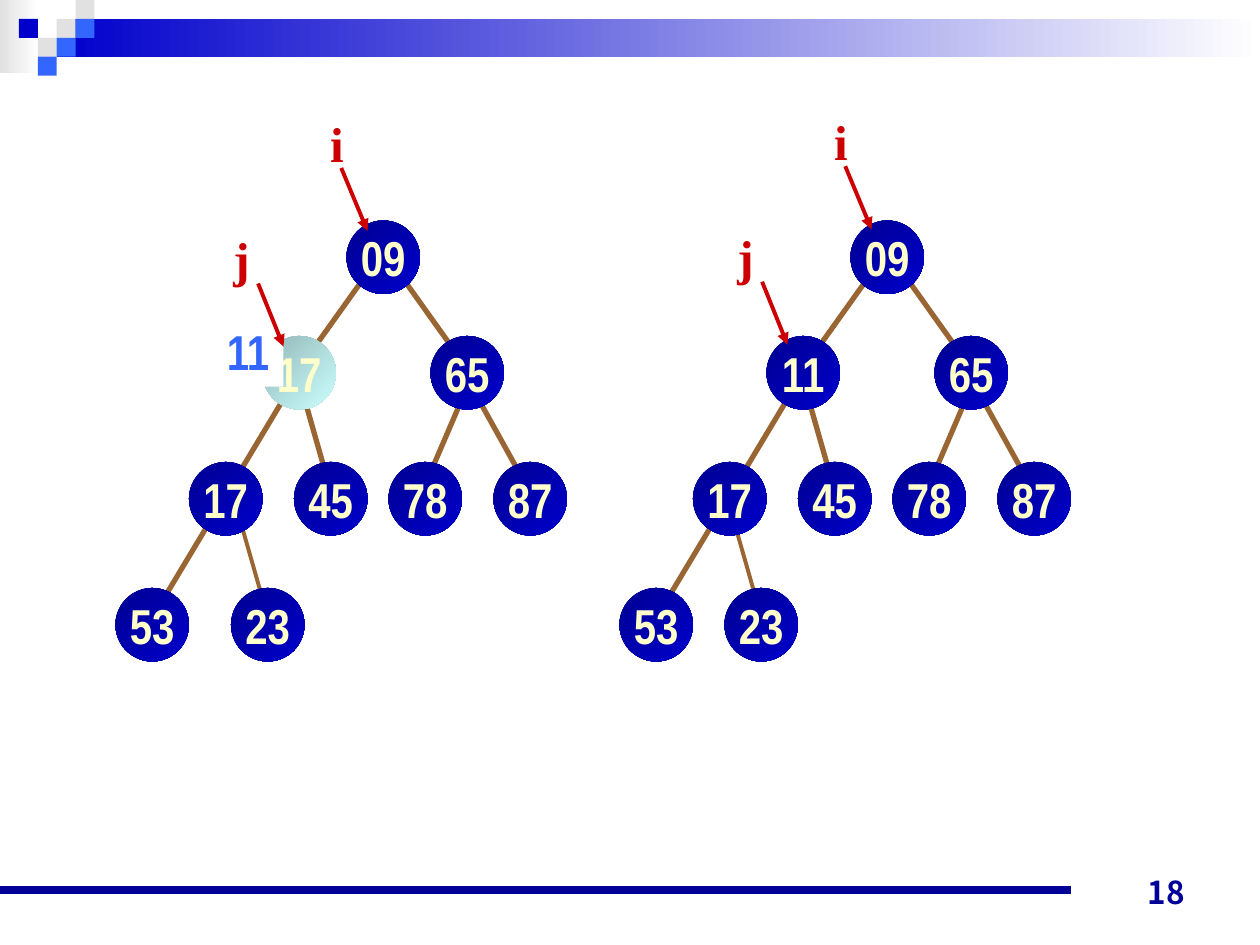
from lxml import etree
from pptx import Presentation
from pptx import util as u
from pptx.dml.color import RGBColor
from pptx.enum import shapes, text
from pptx.oxml.ns import qn

THEME = {
    "navy": "000099", "blue": "0000CC", "sky": "3366FF", "grey": "E1E1E1",
    "white": "FFFFFF", "edge": "996633", "pointer": "CC0000", "label": "FFFFCC",
    "node": ("000092", "0000CC"), "changed": ("92B6B6", "CCFFFF"),
    "node_font": "Arial Narrow", "pointer_font": "Times New Roman",
    "page_font": "Noto Sans CJK JP", "node_size": 28, "page_size": 18,
}

BANDS = [((0, 0, 22, 42), ("grey", "white")), ((32.4, 10.8, 687.6, 21.6), ("blue", "white"))]
SQUARE = 10.8
SQUARES = [(3, 1, "grey"), (4, 0, "grey"), (4, 1, "sky"), (2, 2, "grey"),
           (1, 1, "blue"), (3, 2, "sky"), (2, 3, "sky")]
PAGE = "18"

DIAMETER = 42
NODES = [(198, 126), (150, 192), (246, 192), (108, 264), (168, 264),
         (222, 264), (282, 264), (66, 336), (132, 336)]
EDGES = [(270, 222, 300, 276), (264, 228, 246, 270), (228, 156, 258, 198),
         (174, 228, 186, 270), (210, 156, 180, 198), (162, 228, 90, 348)]
LAST_EDGE = (138, 300, 150, 342)
POINTERS = [("i", (181.5, 61, 22, 41), (195, 96, 210, 132)),
            ("j", (126, 127, 24, 41), (147.5, 162, 162, 198))]
TREES = [
    {"dx": 0, "pointer_dy": 0, "last_dx": 0, "changed": 1,
     "keys": ["09", "17", "65", "17", "45", "78", "87", "53", "23"],
     "incoming": ("11", (121.5, 180, 40.5, 41))},
    {"dx": 288, "pointer_dy": -1, "last_dx": -6, "changed": None,
     "keys": ["09", "11", "65", "17", "45", "78", "87", "53", "23"],
     "incoming": None},
]


def rgb(name):
    return RGBColor.from_string(THEME.get(name, name))


def shift(box, dx, dy=0):
    return (box[0] + dx, box[1] + dy, *box[2:])


def write(sp, words, font, size, color, align=text.PP_ALIGN.CENTER,
          anchor=text.MSO_ANCHOR.MIDDLE, wrap=False):
    tf = sp.text_frame
    for name, value in {"word_wrap": wrap, "vertical_anchor": anchor}.items():
        setattr(tf, name, value)
    p = tf.paragraphs[0]
    p.alignment = align
    r = p.add_run()
    r.text = words
    for name, value in {"name": THEME[font], "size": u.Pt(THEME[size]), "bold": True}.items():
        setattr(r.font, name, value)
    r.font.color.rgb = rgb(color)


def add_shape(s, kind, box, fill, angle=0):
    sp = s.shapes.add_shape(kind, *map(u.Pt, box))
    sp.shadow.inherit = False
    sp.line.fill.background()
    if isinstance(fill, str):
        sp.fill.solid()
        sp.fill.fore_color.rgb = rgb(fill)
    else:
        sp.fill.gradient()
        sp.fill.gradient_angle = angle
        for stop, color in zip(sp.fill.gradient_stops, fill):
            stop.color.rgb = rgb(color)
    return sp


def add_text(s, box, *args, **formats):
    write(s.shapes.add_textbox(*map(u.Pt, box)), *args, **formats)


def add_line(s, ends, color, width, arrow=False):
    line = s.shapes.add_connector(shapes.MSO_CONNECTOR.STRAIGHT, *map(u.Pt, ends))
    line.line.color.rgb = rgb(color)
    line.line.width = u.Pt(width)
    if arrow:
        etree.SubElement(line.line._get_or_add_ln(), qn("a:tailEnd"), type="triangle")
    etree.SubElement(line._element.spPr, qn("a:effectLst"))


def add_frame(s):
    rect = shapes.MSO_SHAPE.RECTANGLE
    for box, fill in BANDS:
        add_shape(s, rect, box, fill)
    for col, row, fill in SQUARES:
        add_shape(s, rect, (col * SQUARE, row * SQUARE, SQUARE, SQUARE), fill)
    add_line(s, (0, 508.5, 612, 508.5), "navy", 4.5)
    add_text(s, (516, 488, 168, 36), PAGE, "page_font", "page_size", "navy",
             align=text.PP_ALIGN.RIGHT, anchor=text.MSO_ANCHOR.BOTTOM, wrap=True)


def add_tree(s, tree):
    dx, last_dx, dy = tree["dx"], tree["last_dx"], tree["pointer_dy"]
    edges = [(edge, dx, 3) for edge in EDGES] + [(LAST_EDGE, dx + last_dx, 2.25)]
    for (x1, y1, x2, y2), move, width in edges:
        add_line(s, (x1 + move, y1, x2 + move, y2), "edge", width)
    for n, ((x, y), key) in enumerate(zip(NODES, tree["keys"])):
        left = x + dx + (last_dx if n == len(NODES) - 1 else 0)
        fill = THEME["changed" if n == tree["changed"] else "node"]
        sp = add_shape(s, shapes.MSO_SHAPE.OVAL, (left, y, DIAMETER, DIAMETER), fill, 315)
        write(sp, key, "node_font", "node_size", "label")
    if tree["incoming"]:
        key, box = tree["incoming"]
        sp = add_shape(s, shapes.MSO_SHAPE.RECTANGLE, shift(box, dx), "white")
        write(sp, key, "node_font", "node_size", "sky")
    for name, box, (x1, y1, x2, y2) in POINTERS:
        add_text(s, shift(box, dx, dy), name, "pointer_font", "node_size", "pointer")
        add_line(s, (x1 + dx, y1 + dy, x2 + dx, y2 + dy), "pointer", 2.25, arrow=True)


def main():
    prs = Presentation()
    prs.slide_width, prs.slide_height = u.Pt(720), u.Pt(540)
    s = prs.slides.add_slide(prs.slide_layouts[6])
    add_frame(s)
    for tree in TREES:
        add_tree(s, tree)
    prs.save("out.pptx")


if __name__ == "__main__":
    main()
